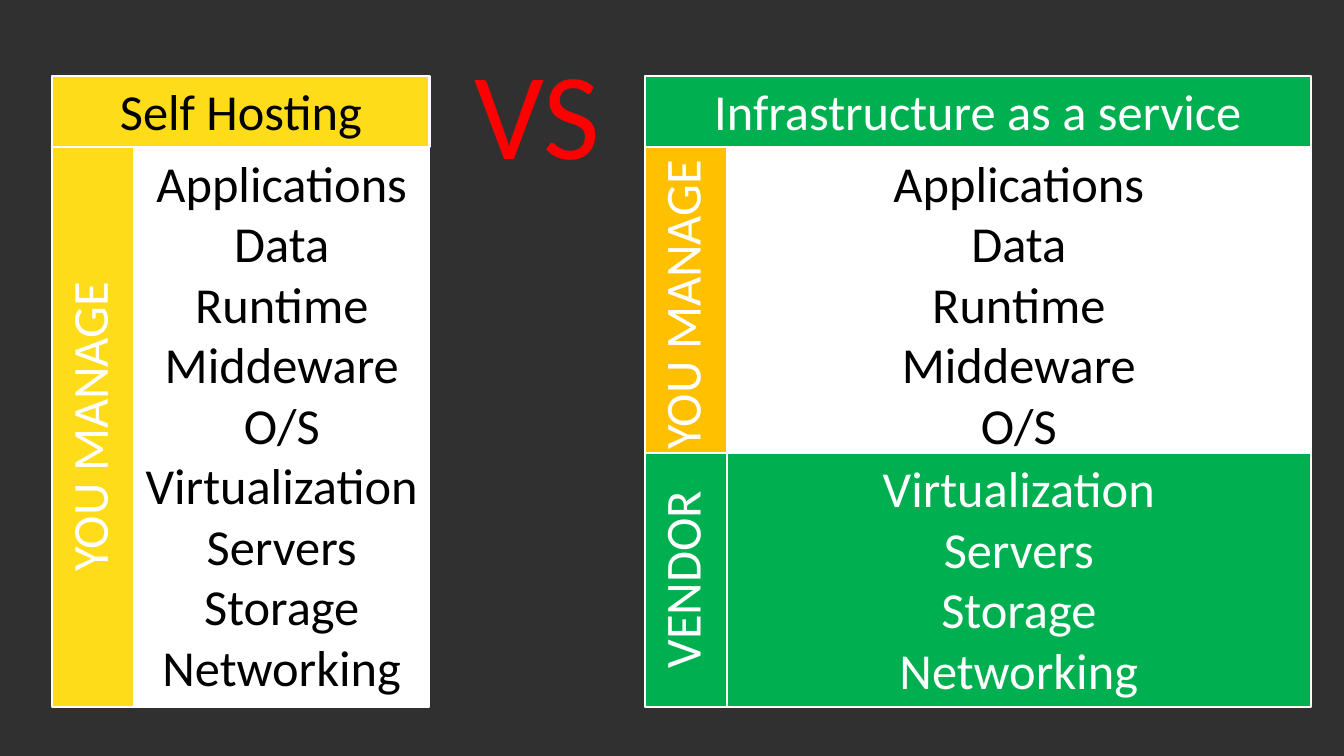
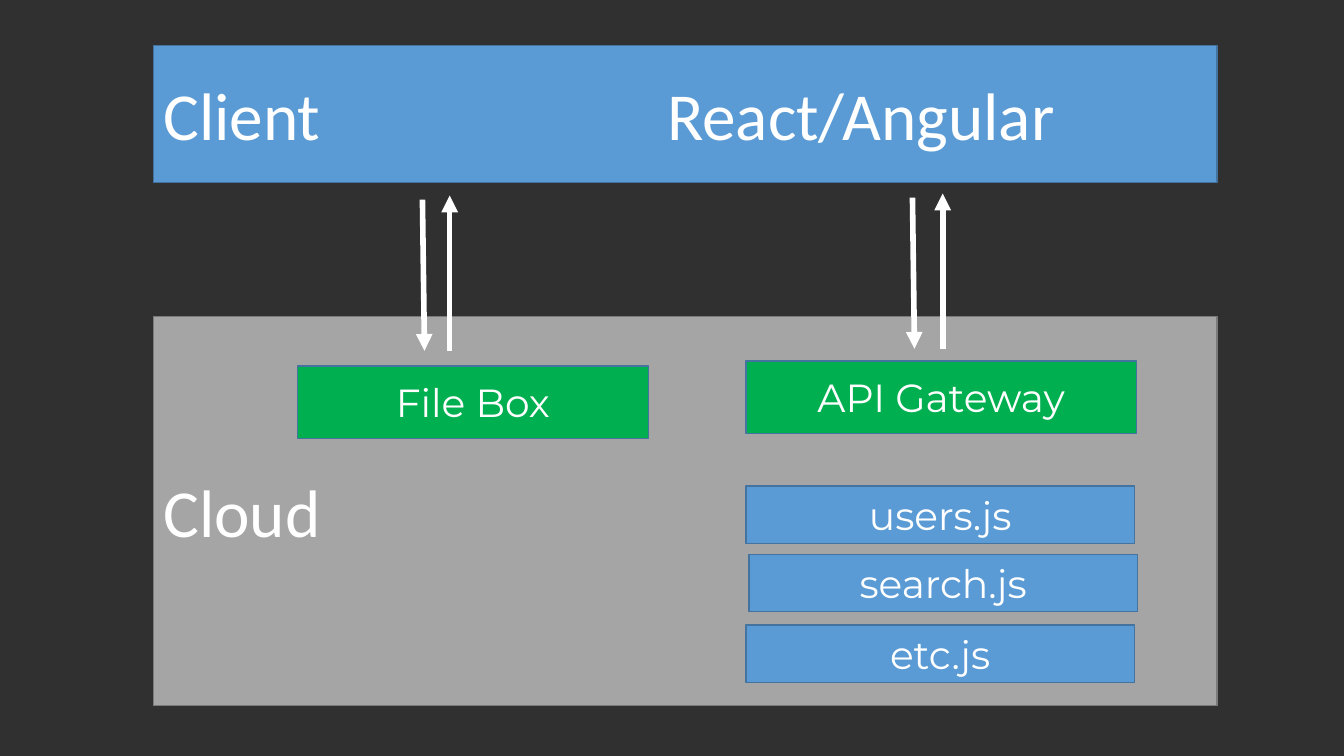
from lxml import etree
from pptx import Presentation
from pptx.dml.color import RGBColor
from pptx.enum import shapes, text
from pptx.oxml.ns import qn
from pptx.util import Inches, Pt

DARK, WHITE, BLACK, RED = "303030", "FFFFFF", "000000", "FF0000"
YELLOW, AMBER, GREEN = "FFDC19", "FFC000", "00B050"
BLUE, NAVY, GREY, DARK_GREY = "5B9BD5", "43739E", "A5A5A5", "7A7A7A"
CALIBRI, MONTSERRAT = "Calibri", "Montserrat"
LEFT, CENTER = text.PP_ALIGN.LEFT, text.PP_ALIGN.CENTER
TOP, MIDDLE = text.MSO_ANCHOR.TOP, text.MSO_ANCHOR.MIDDLE


def rgb(color):
    return RGBColor.from_string(color)


class Deck:
    """Holds the presentation, its style and the current slide."""

    def __init__(self):
        self.prs = Presentation()
        self.prs.slide_width, self.prs.slide_height = Inches(13.33), Inches(7.5)

    def new_slide(self):
        self.s = self.prs.slides.add_slide(self.prs.slide_layouts[6])
        fill = self.s.background.fill
        fill.solid()
        fill.fore_color.rgb = rgb(DARK)

    def set_text(self, sp, lines, size, font, color, align, anchor, wrap=True, tab=None):
        """Fill a shape with one paragraph per line; tab is a stop in inches."""
        tf = sp.text_frame
        tf.word_wrap, tf.vertical_anchor = wrap, anchor
        for i, line in enumerate(lines):
            p = tf.paragraphs[0] if i == 0 else tf.add_paragraph()
            p.text = line
            if tab:
                tabs = etree.SubElement(p._p.get_or_add_pPr(), qn("a:tabLst"))
                etree.SubElement(tabs, qn("a:tab"), pos=str(Inches(tab)), algn="l")
            p.alignment = align
            p.font.size, p.font.name = Pt(size), font
            p.font.color.rgb = rgb(color)

    def rect(self, x, y, w, h, fill, line, weight):
        sp = self.s.shapes.add_shape(
            shapes.MSO_SHAPE.RECTANGLE, Inches(x), Inches(y), Inches(w), Inches(h))
        sp.shadow.inherit = False
        sp.fill.solid()
        sp.fill.fore_color.rgb = rgb(fill)
        sp.line.color.rgb = rgb(line)
        sp.line.width = Pt(weight)
        return sp

    def cell(self, x, y, w, h, lines, fill, color, wrap=True):
        """White-edged block of a comparison column."""
        sp = self.rect(x, y, w, h, fill, WHITE, 1.5)
        self.set_text(sp, lines, 36, CALIBRI, color, CENTER, TOP, wrap)
        return sp

    def side_label(self, x, y, w, h, label, fill):
        """Cell whose text reads from bottom to top."""
        sp = self.cell(x, y, w, h, [label], fill, WHITE)
        sp.text_frame._txBody.bodyPr.set("vert", "vert270")

    def tier(self, y, h, label, fill, line, tab=None):
        sp = self.rect(1.52, y, 10.55, h, fill, line, 1)
        self.set_text(sp, [label], 48, CALIBRI, WHITE, LEFT, MIDDLE, tab=tab)

    def node(self, x, y, w, h, label, fill):
        sp = self.rect(x, y, w, h, fill, NAVY, 1)
        self.set_text(sp, [label], 28, MONTSERRAT, WHITE, CENTER, MIDDLE)

    def label(self, x, y, w, h, words, size, color):
        sp = self.s.shapes.add_textbox(Inches(x), Inches(y), Inches(w), Inches(h))
        self.set_text(sp, [words], size, CALIBRI, color, LEFT, TOP, wrap=False)

    def arrow(self, x1, y1, x2, y2):
        cn = self.s.shapes.add_connector(
            shapes.MSO_CONNECTOR.STRAIGHT, Inches(x1), Inches(y1), Inches(x2), Inches(y2))
        cn.line.color.rgb = rgb(WHITE)
        cn.line.width = Pt(4)
        etree.SubElement(cn.line._get_or_add_ln(), qn("a:tailEnd"), type="triangle")
        etree.SubElement(cn._element.spPr, qn("a:effectLst"))


def hosting_slide(deck):
    yours = ["Applications", "Data", "Runtime", "Middeware", "O/S"]
    vendors = ["Virtualization", "Servers", "Storage", "Networking"]
    head_y, body_y, vendor_y, bottom = 0.75, 1.46, 4.49, 7.01
    head_h, body_h, vendor_h = body_y - head_y, bottom - body_y, bottom - vendor_y
    own_h, side_w = 3.13, 0.81
    self_x, service_x = 0.52, 6.4
    self_w, service_w = 3.74, 6.6

    deck.new_slide()
    x, w = self_x + side_w, self_w - side_w
    deck.cell(x, body_y, w, body_h, yours + vendors, WHITE, BLACK, wrap=False)
    deck.side_label(self_x, body_y, side_w, body_h, "YOU MANAGE", YELLOW)
    deck.cell(self_x, head_y, self_w, head_h, ["Self Hosting"], YELLOW, BLACK)

    x, w = service_x + side_w, service_w - side_w
    deck.cell(x, body_y, w, own_h, yours, WHITE, BLACK)
    deck.side_label(service_x, body_y, side_w, own_h, "YOU MANAGE", AMBER)
    deck.cell(service_x, head_y, service_w, head_h,
              ["Infrastructure as a service"], GREEN, WHITE)
    deck.side_label(service_x, vendor_y, side_w, vendor_h, "VENDOR", GREEN)
    deck.cell(x, vendor_y, w, vendor_h, vendors, GREEN, WHITE)
    deck.label(4.61, 0.31, 1.46, 1.58, "VS", 88, RED)


def architecture_slide(deck):
    deck.new_slide()
    deck.tier(0.45, 1.36, "Client\tReact/Angular", BLUE, NAVY, tab=5)
    deck.tier(3.14, 3.86, "Cloud", GREY, DARK_GREY)
    deck.node(2.95, 3.63, 3.48, 0.72, "File Box", GREEN)
    deck.node(7.4, 3.58, 3.87, 0.72, "API Gateway", GREEN)
    for down_x, up_x, y in ((9.05, 9.35, 1.96), (4.19, 4.46, 1.98)):
        deck.arrow(down_x, y, down_x + 0.02, y + 1.5)
        deck.arrow(up_x, y + 1.5, up_x, y - 0.04)
    for x, y, name in ((7.4, 4.82, "users.js"), (7.43, 5.5, "search.js"), (7.4, 6.2, "etc.js")):
        deck.node(x, y, 3.85, 0.57, name, BLUE)


def main():
    deck = Deck()
    hosting_slide(deck)
    architecture_slide(deck)
    deck.prs.save("out.pptx")


if __name__ == "__main__":
    main()
